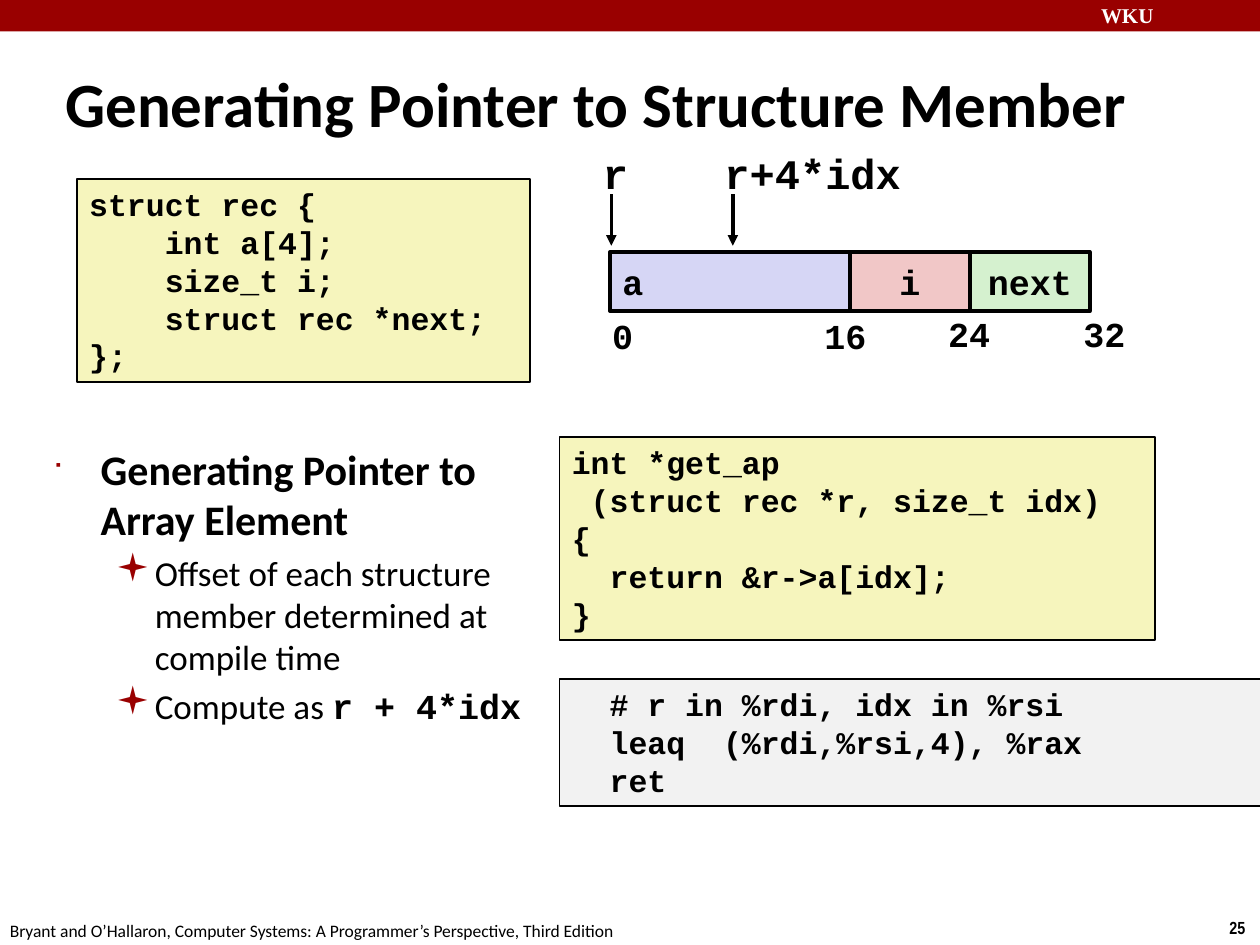
from lxml.etree import SubElement
from pptx import Presentation
from pptx.dml.color import RGBColor
from pptx.enum.shapes import MSO_CONNECTOR, MSO_SHAPE
from pptx.enum.text import MSO_ANCHOR, PP_ALIGN
from pptx.oxml.ns import qn
from pptx.util import Inches, Pt

# Boxes are (left, top, width, height) on a grid of 100 columns by 75 rows.
COLUMNS, ROWS = 100, 75
UNIT = Inches(10) / COLUMNS

RED, BLACK, WHITE = "990000", "000000", "FFFFFF"
YELLOW, GREY = "F6F5BD", "F2F2F2"

TITLE = dict(name="Calibri", size=36, bold=True)
TOPIC = dict(name="Calibri", size=24, bold=True)
DETAIL = dict(name="Calibri", size=20, bold=False)
CODE = dict(name="Courier New", size=18, bold=True)
FIELD = dict(CODE, size=20)
POINTER = dict(CODE, size=24)
FOOTNOTE = dict(name="Calibri", size=10, bold=False)
PAGE = dict(name="Arial Narrow", size=10, bold=True)
BANNER = dict(name="Times New Roman", size=12, bold=True, color=WHITE)

STRUCT_CODE = """struct rec {
    int a[4];
    size_t i;
    struct rec *next;
};"""
POINTER_CODE = """int *get_ap
 (struct rec *r, size_t idx)
{
  return &r->a[idx];
}"""
ASSEMBLY = """  # r in %rdi, idx in %rsi
  leaq  (%rdi,%rsi,4), %rax
  ret"""

# Bullet character, its size in percent, text indent and hanging part in inches
BULLETS = [("■", 60, 0.38, 0.38), ("▪", 110, 0.81, 0.31)]
EXPLANATION = [
    (0, [("Generating Pointer to Array Element", TOPIC)]),
    (1, [("Offset of each structure member determined at compile time", DETAIL)]),
    (1, [("Compute as ", DETAIL), ("r + 4*idx", FIELD)]),
]

STRUCT_BYTES = 32
# Name, first byte, size in bytes, fill, alignment
FIELDS = [
    ("a", 0, 16, "D6D6F5", PP_ALIGN.LEFT),
    ("i", 16, 8, "F1C7C7", PP_ALIGN.CENTER),
    ("next", 24, 8, "D5F1CF", PP_ALIGN.CENTER),
]
# Byte, shift of the label from that byte's edge, its row below the fields
OFFSETS = [(0, -0.8, -0.2), (16, -3, -0.2), (24, -2.7, -0.4), (32, -1.5, -0.4)]
OFFSET_WIDTH = 6
# Text, byte pointed at, label width
POINTERS = [("r", 0.1, 4), ("r+4*idx", 8.2, 16.2)]


def grid(*lengths):
    return [round(length * UNIT) for length in lengths]


def rgb(value):
    return RGBColor.from_string(value)


def add_run(paragraph, text, style):
    run = paragraph.add_run()
    run.text = text
    style = dict(style)
    run.font.color.rgb = rgb(style.pop("color", BLACK))
    style["size"] = Pt(style["size"])
    for attribute, value in style.items():
        setattr(run.font, attribute, value)


def write_lines(frame, text, style, align=PP_ALIGN.LEFT):
    for number, line in enumerate(text.split("\n")):
        paragraph = frame.add_paragraph() if number else frame.paragraphs[0]
        paragraph.alignment = align
        add_run(paragraph, line, style)


def add_label(slide, box, text, style, wrap=False, anchor=MSO_ANCHOR.TOP):
    frame = slide.shapes.add_textbox(*grid(*box)).text_frame
    frame.word_wrap = wrap
    frame.vertical_anchor = anchor
    write_lines(frame, text, style)


def add_panel(slide, box, fill, border=None):
    panel = slide.shapes.add_shape(MSO_SHAPE.RECTANGLE, *grid(*box))
    panel.shadow.inherit = False
    panel.fill.solid()
    panel.fill.fore_color.rgb = rgb(fill)
    if border:
        panel.line.color.rgb = rgb(BLACK)
        panel.line.width = Pt(border)
    else:
        panel.line.fill.background()
    panel.text_frame.word_wrap = True
    return panel


def add_code(slide, box, code, fill):
    frame = add_panel(slide, box, fill, border=1).text_frame
    frame.vertical_anchor = MSO_ANCHOR.TOP
    write_lines(frame, code, CODE)


def add_down_arrow(slide, x, top, bottom):
    arrow = slide.shapes.add_connector(
        MSO_CONNECTOR.STRAIGHT, *grid(x, top, x, bottom))
    arrow.line.color.rgb = rgb(BLACK)
    arrow.line.width = Pt(2)
    SubElement(arrow.line._get_or_add_ln(), qn("a:tailEnd"), type="triangle")
    SubElement(arrow._element.spPr, qn("a:effectLst"))


def add_struct_layout(slide, box):
    """Draw the fields in the box, pointers above it and byte offsets below."""
    left, top, width, height = box
    byte = width / STRUCT_BYTES
    for name, start, size, fill, align in FIELDS:
        cell = (left + start * byte, top, size * byte, height)
        frame = add_panel(slide, cell, fill, border=2).text_frame
        frame.vertical_anchor = MSO_ANCHOR.MIDDLE
        write_lines(frame, name, FIELD, align)
    for offset, shift, drop in OFFSETS:
        place = (left + offset * byte + shift, top + height + drop,
                 OFFSET_WIDTH, 4.3)
        add_label(slide, place, str(offset), FIELD, wrap=True)
    for text, target, label_width in POINTERS:
        x = left + target * byte
        add_label(slide, (x - 1.65, top - 8.8, label_width, 5), text, POINTER)
        add_down_arrow(slide, x, top - 4.6, top - 0.5)


def add_bullet(paragraph, level):
    character, percent, indent, hanging = BULLETS[level]
    properties = paragraph._p.get_or_add_pPr()
    properties.set("marL", str(Inches(indent)))
    properties.set("indent", str(-Inches(hanging)))
    color = SubElement(properties, qn("a:buClr"))
    SubElement(color, qn("a:srgbClr"), val=RED)
    SubElement(properties, qn("a:buSzPct"), val=str(percent * 1000))
    SubElement(properties, qn("a:buFont"), typeface="Wingdings")
    SubElement(properties, qn("a:buChar"), char=character)


def add_explanation(slide, box):
    frame = slide.shapes.add_textbox(*grid(*box)).text_frame
    frame.word_wrap = True
    for number, (level, parts) in enumerate(EXPLANATION):
        paragraph = frame.add_paragraph() if number else frame.paragraphs[0]
        paragraph.level = level
        add_bullet(paragraph, level)
        if number:
            paragraph.space_before = Pt(4)
        for text, style in parts:
            add_run(paragraph, text, style)


def add_page_frame(slide, box):
    """Add the banner along the top and the footer along the bottom."""
    left, top, width, height = box
    right, bottom = left + width, top + height
    add_panel(slide, (left, top, width, 2.5), RED)
    add_label(slide, (right - 13.6, top - 0.3, 13.6, 3), "WKU", BANNER, wrap=True)
    add_label(slide, (right - 3.4, bottom - 2.7, 3.4, 2.7), "25", PAGE)
    add_label(slide, (left - 0.2, bottom - 2.5, 50.8, 2.7),
              "Bryant and O’Hallaron, Computer Systems: "
              "A Programmer’s Perspective, Third Edition", FOOTNOTE)


def main():
    presentation = Presentation()
    presentation.slide_width, presentation.slide_height = grid(COLUMNS, ROWS)
    slide = presentation.slides.add_slide(presentation.slide_layouts[6])

    add_page_frame(slide, (0, 0, COLUMNS, ROWS))
    add_label(slide, (4.2, 5, 90.8, 6.3), "Generating Pointer to Structure Member",
              TITLE, wrap=True, anchor=MSO_ANCHOR.MIDDLE)
    add_code(slide, (6.1, 14.2, 36, 16.1), STRUCT_CODE, YELLOW)
    add_struct_layout(slide, (48.4, 20, 38.1, 4.7))
    add_explanation(slide, (3.2, 34.7, 42.9, 31.3))
    add_code(slide, (44.4, 34.7, 47.3, 16.1), POINTER_CODE, YELLOW)
    add_code(slide, (44.4, 53.9, 55.7, 10.1), ASSEMBLY, GREY)
    presentation.save("out.pptx")


if __name__ == "__main__":
    main()
